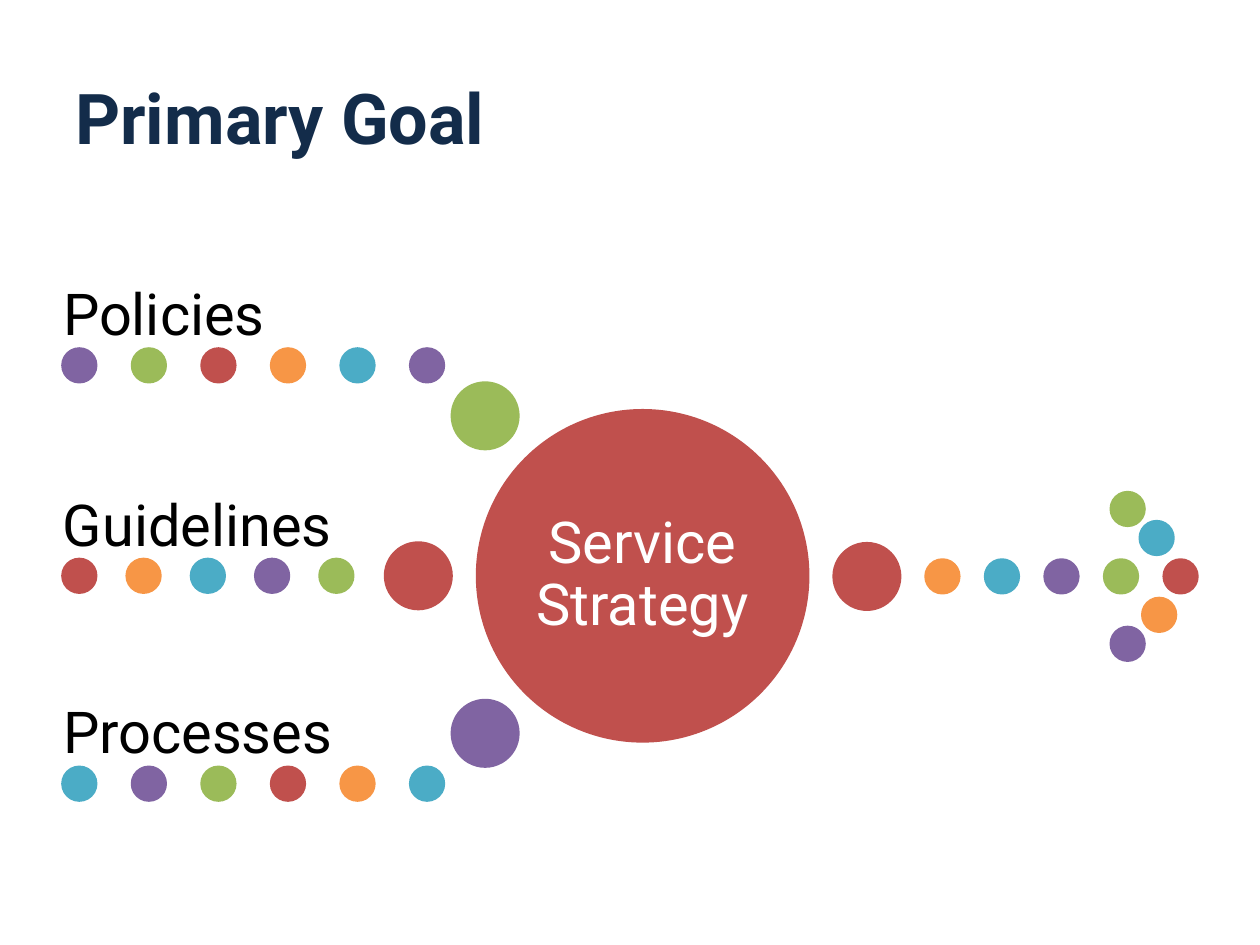
from pptx import Presentation
from pptx.dml.color import RGBColor
from pptx.enum.shapes import MSO_SHAPE
from pptx.enum.text import MSO_ANCHOR, PP_ALIGN
from pptx.util import Inches, Pt

OVAL = MSO_SHAPE.OVAL
MIDDLE, BOTTOM = MSO_ANCHOR.MIDDLE, MSO_ANCHOR.BOTTOM
LEFT, CENTER = PP_ALIGN.LEFT, PP_ALIGN.CENTER

COLORS = {
    "navy": "132C4A", "black": "000000", "white": "FFFFFF",
    "red": "C0504D", "green": "9BBB59", "purple": "8064A2",
    "teal": "4BACC6", "orange": "F79646",
}
FONT = "Roboto"

# Grid of 100 columns by 75 rows; all boxes are (column, row, width, height)
CELL = Inches(10) // 100
DOT, BIG_DOT = 2.6, 5.2
LABEL_HEIGHT = 6.6


def grid(*cells):
    return [round(c * CELL) for c in cells]


def color(name):
    return RGBColor.from_string(COLORS[name])


def add_circle(slide, x, y, size, fill):
    sp = slide.shapes.add_shape(OVAL, *grid(x, y, size, size))
    sp.shadow.inherit = False
    sp.fill.solid()
    sp.fill.fore_color.rgb = color(fill)
    sp.line.color.rgb = color(fill)
    sp.line.width = Pt(2)


def add_dots(slide, x, y, pitch, fills):
    for i, fill in enumerate(fills):
        add_circle(slide, x + i * pitch, y, DOT, fill)


def add_text(slide, box, text, size, fill, anchor, align=LEFT,
             inset=(0, 0), spacing=0.9, bold=False):
    tf = slide.shapes.add_textbox(*grid(*box)).text_frame
    tf.word_wrap = True
    tf.vertical_anchor = anchor
    tf.margin_left = tf.margin_right = Inches(inset[0])
    tf.margin_top = tf.margin_bottom = Inches(inset[1])
    p = tf.paragraphs[0]
    p.alignment = align
    p.line_spacing = spacing
    r = p.add_run()
    r.text = text
    r.font.name = FONT
    r.font.size = Pt(size)
    r.font.bold = bold
    r.font.color.rgb = color(fill)


def add_title(slide, box, text):
    add_text(slide, box, text, 40, "navy", MIDDLE,
             inset=(0.1, 0.05), spacing=1.0, bold=True)


def add_input(slide, box, label, fills, big_offset, big_fill):
    """Label over a row of dots that leads to a big dot near the hub."""
    x, y, w, h = box
    add_text(slide, (x, y, w, LABEL_HEIGHT), label, 33, "black", BOTTOM)
    add_dots(slide, x, y + h - DOT, (w - DOT) / (len(fills) - 1), fills)
    dx, dy = big_offset
    add_circle(slide, x + w + dx, y + dy, BIG_DOT, big_fill)


def add_hub(slide, box, text):
    x, y, w, h = box
    add_circle(slide, x, y, w, "red")
    # The text fills the square inscribed in the circle
    inset = w * 0.147
    inner = (x + inset, y + inset, w - 2 * inset, h - 2 * inset)
    add_text(slide, inner, text, 33, "white", MIDDLE, CENTER, (0.05, 0.05))


def add_dotted_arrow(slide, box):
    x, y, w, h = box
    right, middle = x + w, y + h / 2
    # Shaft
    add_circle(slide, x, middle - BIG_DOT / 2, BIG_DOT, "red")
    fills = ["orange", "teal", "purple", "green", "red"]
    start = x + 7.3
    pitch = (right - DOT - start) / (len(fills) - 1)
    add_dots(slide, start, middle - DOT / 2, pitch, fills)
    # Head
    head = [(6.8, 0, "green"), (4.5, 2.3, "teal"),
            (4.3, 8.4, "orange"), (6.8, 10.7, "purple")]
    for back, down, fill in head:
        add_circle(slide, right - back, y + down, DOT, fill)


def main():
    prs = Presentation()
    prs.slide_width, prs.slide_height = grid(100, 75)
    slide = prs.slides.add_slide(prs.slide_layouts[6])

    add_title(slide, (5, 3, 90, 12.5), "Primary Goal")
    add_dotted_arrow(slide, (66.2, 39.1, 28.8, 13.3))
    add_hub(slide, (37.9, 32.6, 26.2, 26.2), "Service Strategy")

    inputs = [
        ((5, 21, 30.2, 9.3), "Policies",
         ["purple", "green", "red", "orange", "teal", "purple"],
         (0.7, 9.4), "green"),
        ((5, 37.8, 23, 9.2), "Guidelines",
         ["red", "orange", "teal", "purple", "green"],
         (2.6, 5.3), "red"),
        ((5, 54.2, 30.2, 9.3), "Processes",
         ["teal", "purple", "green", "red", "orange", "teal"],
         (0.7, 1.4), "purple"),
    ]
    for row in inputs:
        add_input(slide, *row)

    prs.save("out.pptx")


if __name__ == "__main__":
    main()
